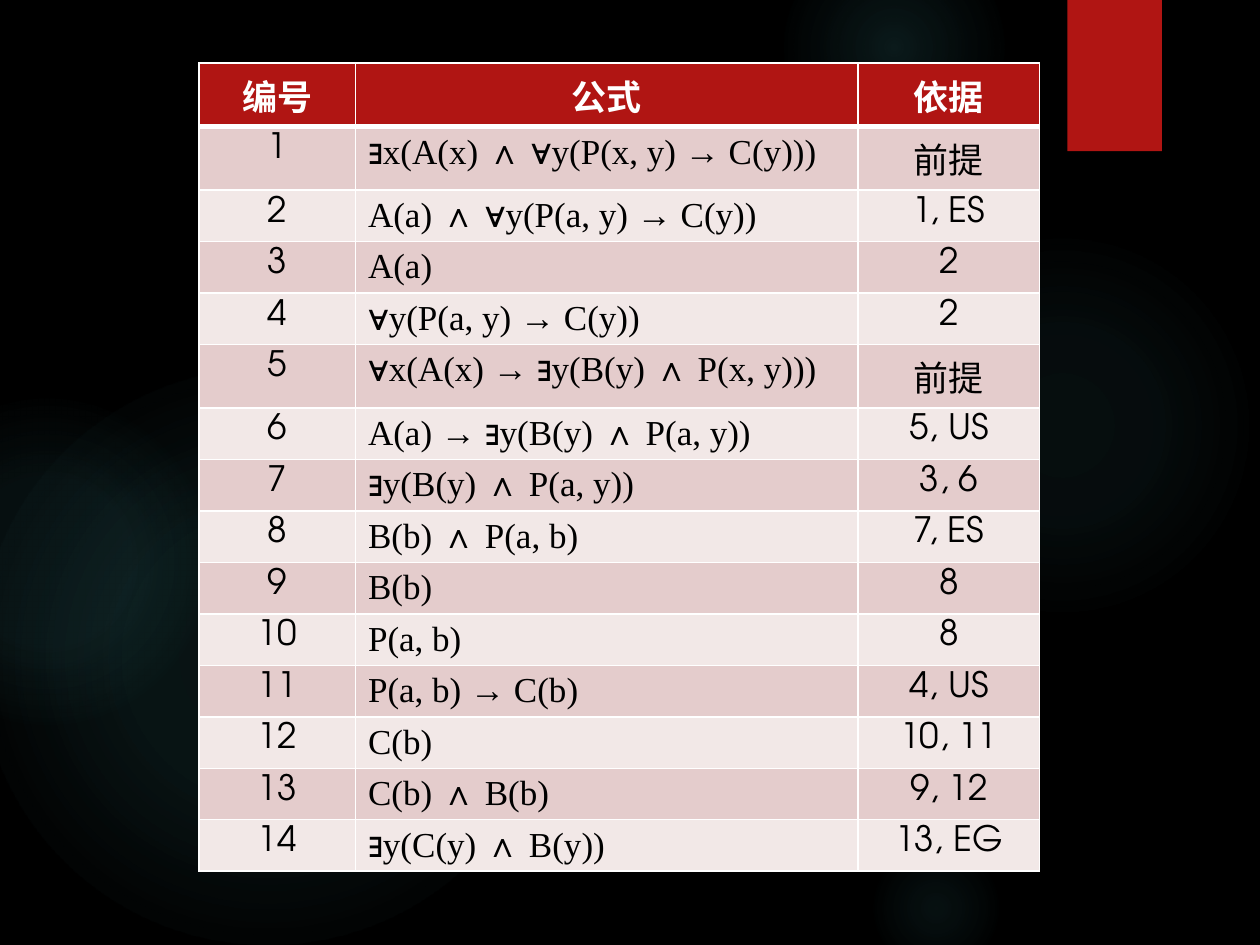
"""Build a slide with a numbered table of a predicate logic proof."""
from lxml import etree
from pptx import Presentation
from pptx.dml.color import RGBColor
from pptx.enum.shapes import MSO_SHAPE
from pptx.enum.text import PP_ALIGN
from pptx.oxml.ns import qn
from pptx.util import Pt

OVAL, RECTANGLE = MSO_SHAPE.OVAL, MSO_SHAPE.RECTANGLE
LEFT, CENTER = PP_ALIGN.LEFT, PP_ALIGN.CENTER
BLACK = RGBColor(0x00, 0x00, 0x00)
WHITE = RGBColor(0xFF, 0xFF, 0xFF)
RED = RGBColor(0xB0, 0x15, 0x13)
TEAL = RGBColor(0x50, 0xB9, 0xC1)
DARK_BAND = RGBColor(0xE4, 0xCC, 0xCC)
LIGHT_BAND = RGBColor(0xF2, 0xE8, 0xE7)
SANS, SERIF = "TeX Gyre Adventor", "Times New Roman"
PREMISE = "前提"

GLOWS = [
    (496, 132, 222, ((0, 7), (36, 6), (69, 0))),
    (448, -36, 126, ((0, 14), (36, 7), (73, 0))),
    (496, 480, 78, ((0, 9), (36, 5), (66, 0))),
    (-12, 210, 330, ((0, 11), (36, 10), (75, 0))),
    (-66, 228, 186, ((0, 8), (36, 8), (72, 0))),
]
COLUMN_WIDTHS = (89.3, 287.3, 103.7)
HEADINGS = ("编号", "公式", "依据")
PROOF = [
    ("∃x(A(x) ∧ ∀y(P(x, y) → C(y)))", PREMISE),
    ("A(a) ∧ ∀y(P(a, y) → C(y))", "1, ES"),
    ("A(a)", "2"),
    ("∀y(P(a, y) → C(y))", "2"),
    ("∀x(A(x) → ∃y(B(y) ∧ P(x, y)))", PREMISE),
    ("A(a) → ∃y(B(y) ∧ P(a, y))", "5, US"),
    ("∃y(B(y) ∧ P(a, y))", "3, 6"),
    ("B(b) ∧ P(a, b)", "7, ES"),
    ("B(b)", "8"),
    ("P(a, b)", "8"),
    ("P(a, b) → C(b)", "4, US"),
    ("C(b)", "10, 11"),
    ("C(b) ∧ B(b)", "9, 12"),
    ("∃y(C(y) ∧ B(y))", "13, EG"),
]


def add_element(parent, tag, **attributes):
    element = etree.SubElement(parent, qn(tag))
    for name, value in attributes.items():
        element.set(name, str(value))
    return element


def add_color(parent, color, alpha=100):
    element = add_element(parent, "a:srgbClr", val=color)
    if alpha < 100:
        add_element(element, "a:alpha", val=alpha * 1000)


class ProofSlide:
    def __init__(self, slide, text_size=20):
        self.slide = slide
        self.text_size = text_size
        background = slide.background.fill
        background.solid()
        background.fore_color.rgb = BLACK

    def add_shape(self, kind, left, top, width, height):
        shape = self.slide.shapes.add_shape(kind, Pt(left), Pt(top), Pt(width), Pt(height))
        shape.line.fill.background()
        shape.shadow.inherit = False
        return shape

    def add_glow(self, left, top, diameter, stops):
        properties = self.add_shape(OVAL, left, top, diameter, diameter)._element.spPr
        gradient = etree.Element(qn("a:gradFill"))
        stop_list = add_element(gradient, "a:gsLst")
        for position, alpha in stops:
            stop = add_element(stop_list, "a:gs", pos=position * 1000)
            add_color(stop, TEAL, alpha)
        circle = add_element(gradient, "a:path", path="circle")
        add_element(circle, "a:fillToRect", l=50000, t=50000, r=50000, b=50000)
        properties.find(qn("a:prstGeom")).addnext(gradient)

    def add_ribbon(self, left, top, width, height):
        shape = self.add_shape(RECTANGLE, left, top, width, height)
        shape.fill.solid()
        shape.fill.fore_color.rgb = RED
        effects = shape._element.spPr.find(qn("a:effectLst"))
        shadow = add_element(effects, "a:outerShdw", blurRad=Pt(3), dist=Pt(2),
                             dir=5400000, rotWithShape=0)
        add_color(shadow, BLACK, 45)

    def fill_cell(self, cell, text, fill, color, font_name, alignment, bold):
        paragraph = cell.text_frame.paragraphs[0]
        paragraph.alignment = alignment
        run = paragraph.add_run()
        run.text = text
        run.font.name = font_name
        run.font.size = Pt(self.text_size)
        run.font.bold = bold
        run.font.color.rgb = color
        properties = cell._tc.get_or_add_tcPr()
        for side in "LRTB":
            width = 3 if bold and side == "B" else 1
            border = add_element(properties, f"a:ln{side}", w=Pt(width))
            add_color(add_element(border, "a:solidFill"), WHITE)
        cell.fill.solid()
        cell.fill.fore_color.rgb = fill

    def add_proof_table(self, left, top):
        heights = [36] + [36 if reason == PREMISE else 29.4 for _, reason in PROOF]
        table = self.slide.shapes.add_table(
            len(heights), len(COLUMN_WIDTHS), Pt(left), Pt(top),
            Pt(sum(COLUMN_WIDTHS)), Pt(sum(heights))).table
        table.horz_banding = False
        for column, width in zip(table.columns, COLUMN_WIDTHS):
            column.width = Pt(width)
        for row, height in zip(table.rows, heights):
            row.height = Pt(height)
        for cell, heading in zip(table.rows[0].cells, HEADINGS):
            self.fill_cell(cell, heading, RED, WHITE, SANS, CENTER, True)
        for number, (formula, reason) in enumerate(PROOF, 1):
            fill = DARK_BAND if number % 2 else LIGHT_BAND
            number_cell, formula_cell, reason_cell = table.rows[number].cells
            self.fill_cell(number_cell, str(number), fill, BLACK, SANS, CENTER, False)
            self.fill_cell(formula_cell, formula, fill, BLACK, SERIF, LEFT, False)
            self.fill_cell(reason_cell, reason, fill, BLACK, SANS, CENTER, False)


def main():
    presentation = Presentation()
    presentation.slide_width, presentation.slide_height = Pt(720), Pt(540)
    proof_slide = ProofSlide(presentation.slides.add_slide(presentation.slide_layouts[6]))
    for glow in GLOWS:
        proof_slide.add_glow(*glow)
    proof_slide.add_ribbon(610, 0, 54, 86.4)
    proof_slide.add_proof_table(113.8, 36)
    presentation.save("out.pptx")


if __name__ == "__main__":
    main()
